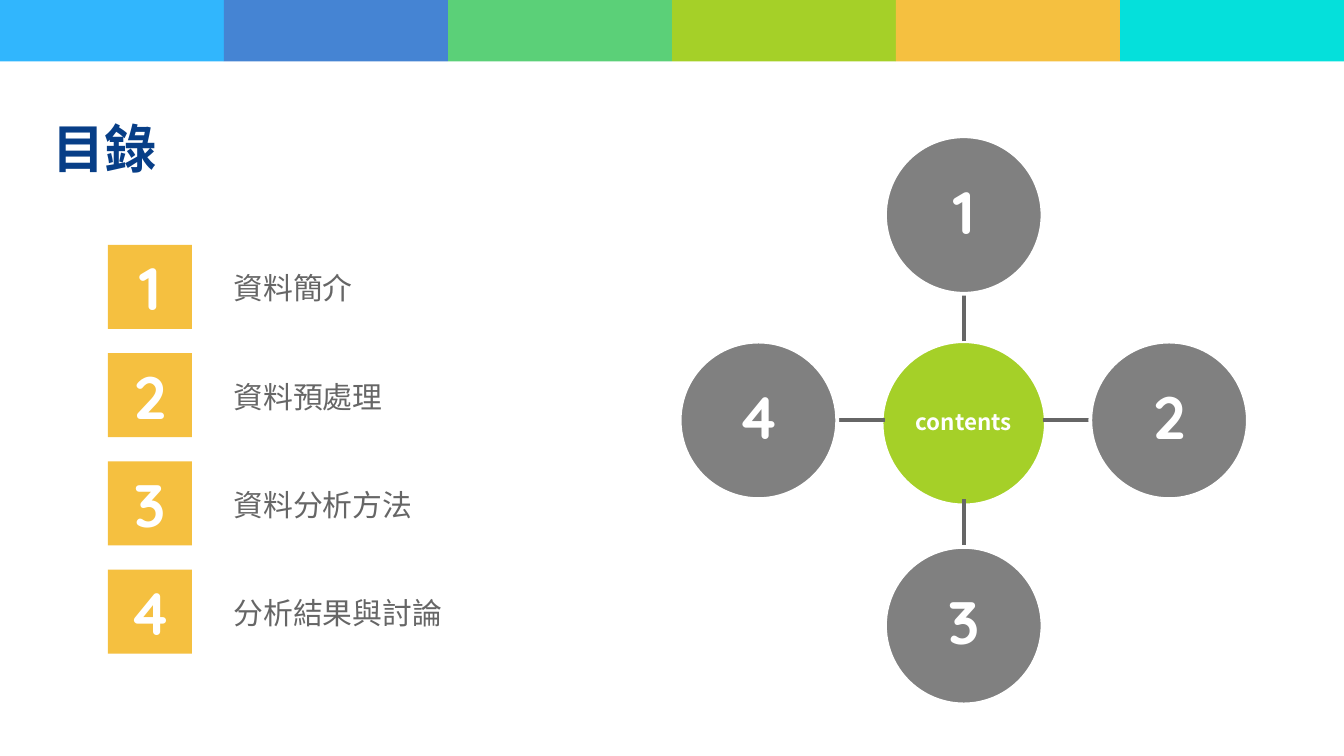
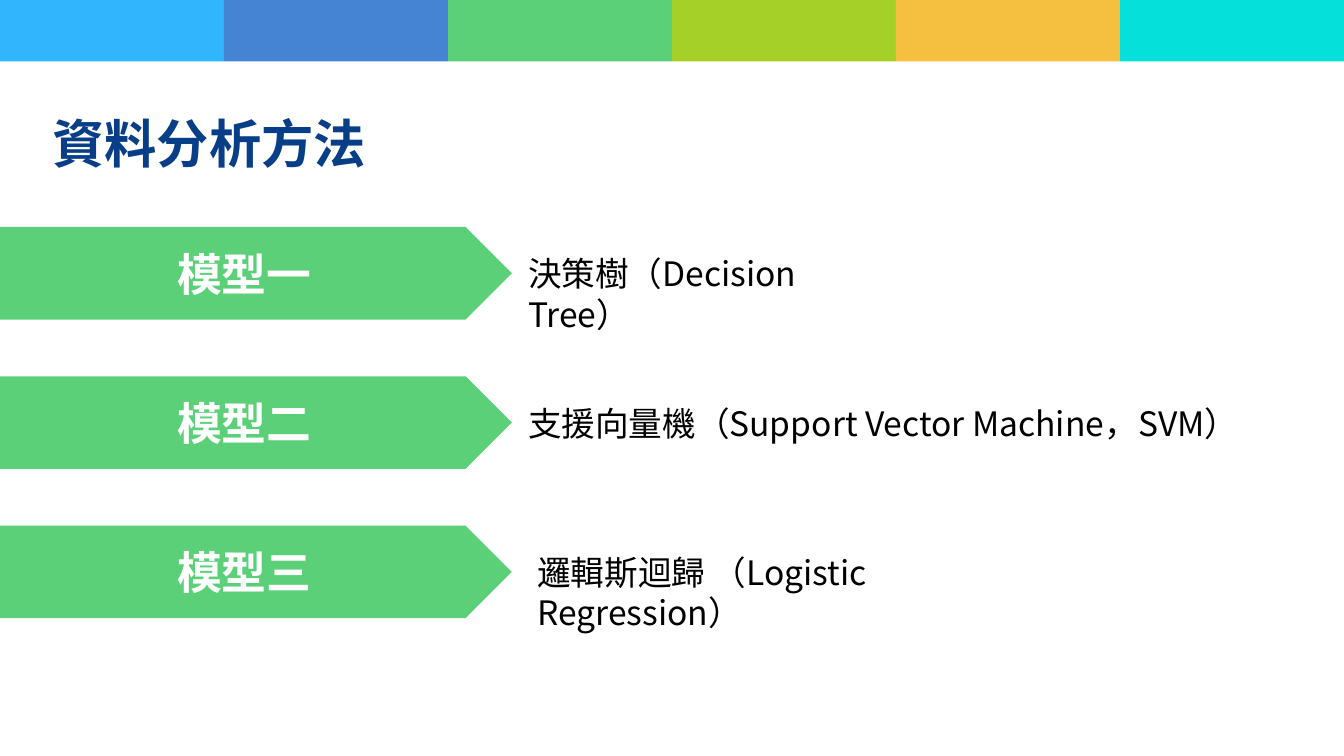
from lxml.etree import SubElement
from pptx import Presentation
from pptx.dml.color import RGBColor
from pptx.enum.shapes import MSO_CONNECTOR as Connector, MSO_SHAPE as Preset
from pptx.enum.text import MSO_ANCHOR as Anchor, MSO_AUTO_SIZE as AutoSize, PP_ALIGN as Align
from pptx.oxml.ns import qn
from pptx.util import Pt

COLORS = {
    "sky": "31B6FD", "blue": "4584D3", "green": "5BD078",
    "lime": "A5D028", "amber": "F5C040", "cyan": "05E0DB",
    "navy": "073E87", "text": "666666", "node": "808080",
    "white": "FFFFFF", "black": "000000",
}
BAND = ["sky", "blue", "green", "lime", "amber", "cyan"]
CJK, DIGITS = "Noto Sans CJK SC", "Quicksand"
WIDTH, HEIGHT, BAND_HEIGHT = 720, 405, 33


class Deck:
    """Hold the shared style and the slide being built."""

    def __init__(self):
        self.presentation = Presentation()
        self.presentation.slide_width = Pt(WIDTH)
        self.presentation.slide_height = Pt(HEIGHT)
        self.slide = None

    def color(self, name):
        return RGBColor.from_string(COLORS[name])

    def new_slide(self, title, title_top):
        self.slide = self.presentation.slides.add_slide(self.presentation.slide_layouts[6])
        group = self.slide.shapes.add_group_shape()
        step = WIDTH / len(BAND)
        for index, fill in enumerate(BAND):
            self.shape(Preset.RECTANGLE, index * step, 0, step, BAND_HEIGHT, fill, parent=group)
        self.text(title, 21, title_top, 252.7, 41, 28, "navy", bold=True)

    def set_text(self, frame, text, size, color, font=CJK, bold=False):
        paragraph = frame.paragraphs[0]
        paragraph.text = text
        paragraph.font.size = Pt(size)
        paragraph.font.bold = bold
        paragraph.font.color.rgb = self.color(color)
        paragraph.font.name = font
        defaults = paragraph._p.get_or_add_pPr().find(qn("a:defRPr"))
        SubElement(defaults, qn("a:ea"), typeface=font)
        return paragraph

    def text(self, text, left, top, width, height, size, color, bold=False, right_margin=7.2):
        frame = self.slide.shapes.add_textbox(Pt(left), Pt(top), Pt(width), Pt(height)).text_frame
        frame.word_wrap = True
        frame.auto_size = AutoSize.SHAPE_TO_FIT_TEXT
        frame.margin_right = Pt(right_margin)
        self.set_text(frame, text, size, color, bold=bold)

    def shape(self, preset, left, top, width, height, fill, parent=None):
        shapes = (parent or self.slide).shapes
        shape = shapes.add_shape(preset, Pt(left), Pt(top), Pt(width), Pt(height))
        shape.shadow.inherit = False
        shape.fill.solid()
        shape.fill.fore_color.rgb = self.color(fill)
        shape.line.fill.background()
        return shape

    def label(self, shape, text, size, font=CJK):
        frame = shape.text_frame
        frame.word_wrap = True
        frame.vertical_anchor = Anchor.MIDDLE
        paragraph = self.set_text(frame, text, size, "white", font, bold=True)
        paragraph.alignment = Align.CENTER
        return paragraph

    def circle(self, center_x, center_y, diameter, fill, text, size, font):
        radius = diameter / 2
        shape = self.shape(Preset.OVAL, center_x - radius, center_y - radius, diameter, diameter, fill)
        shape.line.color.rgb = self.color("white")
        shape.line.width = Pt(2)
        frame = shape.text_frame
        frame.margin_left = frame.margin_right = frame.margin_top = frame.margin_bottom = 0
        self.label(shape, text, size, font).line_spacing = 0.9

    def line(self, start_x, start_y, end_x, end_y):
        connector = self.slide.shapes.add_connector(
            Connector.STRAIGHT, Pt(start_x), Pt(start_y), Pt(end_x), Pt(end_y))
        connector.line.color.rgb = self.color("text")
        connector.line.width = Pt(2.25)
        SubElement(connector._element.spPr, qn("a:effectLst"))


def build_contents(deck):
    """Build the contents slide."""
    deck.new_slide("目錄", 59)
    hub_x, hub_y = 516.3, 225.2
    deck.circle(hub_x, hub_y + 1.6, 88, "lime", "contents", 12, CJK)
    for number, (x, y) in enumerate([(0, -1), (1, 0), (0, 1), (-1, 0)], 1):
        deck.line(hub_x + 42.3 * x, hub_y + 42.3 * y, hub_x + 67.7 * x, hub_y + 67.7 * y)
        deck.circle(hub_x + 110 * x, hub_y + 110 * y, 84.4, "node", str(number), 32, DIGITS)

    topics = ["資料簡介", "資料預處理", "資料分析方法", "分析結果與討論"]
    for index, topic in enumerate(topics):
        top = 131.2 + 58 * index
        tile = deck.shape(Preset.RECTANGLE, 57.8, top, 45, 45, "amber")
        deck.label(tile, str(index + 1), 32, DIGITS)
        deck.text(topic, 118, top + 10, 147.6, 26.6, 16, "text")


def build_methods(deck):
    """Build the analysis methods slide."""
    deck.new_slide("資料分析方法", 56)
    models = [
        ("模型一", "決策樹（Decision Tree）", 275.8, 221.8, 50),
        ("模型二", "支援向量機（Support Vector Machine，SVM）", 275.8, 415.4, 7.2),
        ("模型三", "邏輯斯迴歸 （Logistic Regression）", 280.8, 309.6, 50),
    ]
    for index, (name, method, left, width, right_margin) in enumerate(models):
        top = 121.6 + 80 * index
        plate = deck.shape(Preset.PENTAGON, 0, top, 274.2, 49.6, "green")
        deck.label(plate, name, 24)
        deck.text(method, left, top + 10.6, width, 29, 18, "black", right_margin=right_margin)


def main():
    """Build and save the presentation."""
    deck = Deck()
    build_contents(deck)
    build_methods(deck)
    deck.presentation.save("out.pptx")


if __name__ == "__main__":
    main()
